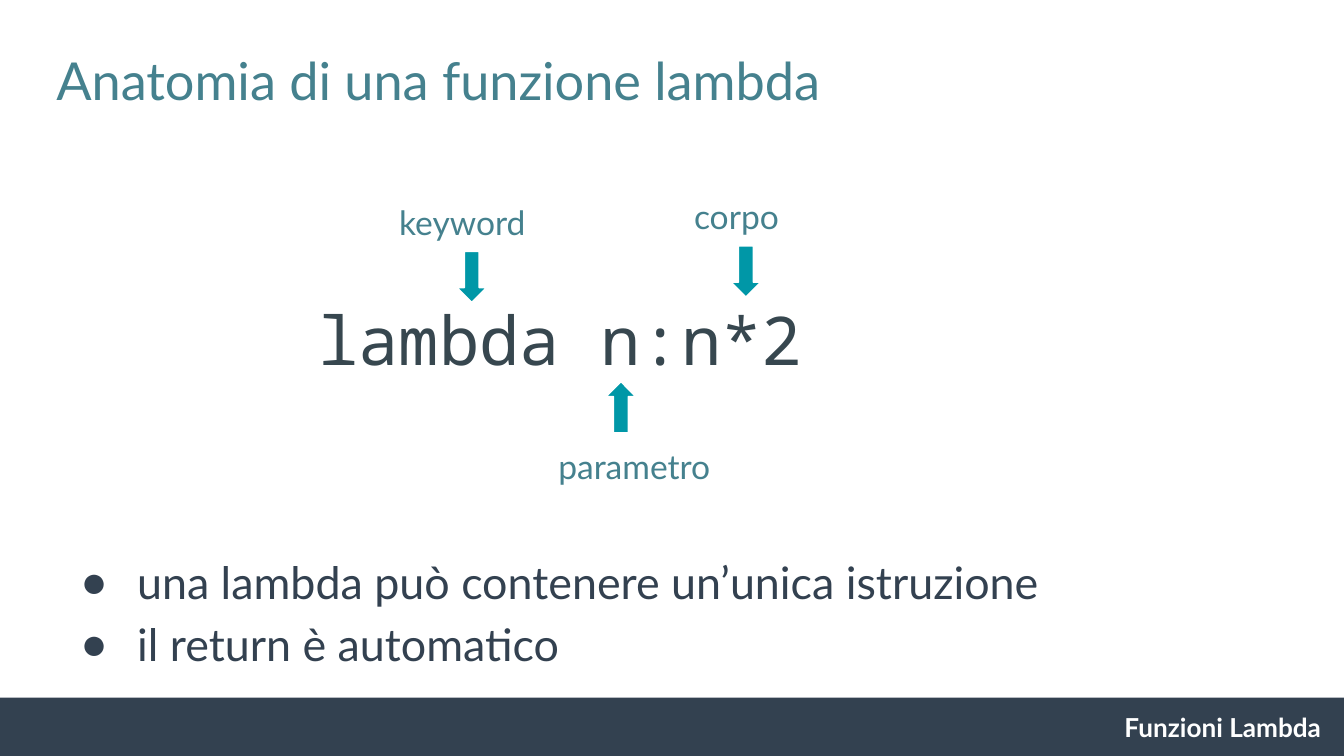
from dataclasses import dataclass

from lxml.etree import SubElement
from pptx import Presentation
from pptx.dml.color import RGBColor
from pptx.enum.shapes import MSO_SHAPE
from pptx.enum.text import MSO_ANCHOR, MSO_AUTO_SIZE, PP_ALIGN
from pptx.oxml.ns import qn
from pptx.slide import Slide
from pptx.text.text import TextFrame, _Paragraph
from pptx.util import Inches, Pt

NAVY, TEAL, CYAN, SLATE, WHITE = "334150", "45818E", "0097A7", "37474F", "FFFFFF"


@dataclass
class CodePart:
    label: str
    label_left: float
    label_top: float
    arrow_left: float
    arrow_top: float
    points_up: bool = False


CODE_PARTS = [
    CodePart("keyword", 2.37, 1.4, 3.4, 1.87),
    CodePart("parametro", 3.65, 3.22, 4.51, 2.84, points_up=True),
    CodePart("corpo", 4.41, 1.36, 5.44, 1.83),
]
RULES = ["una lambda può contenere un’unica istruzione", "il return è automatico"]


def color(hex_value: str) -> RGBColor:
    return RGBColor.from_string(hex_value)


def place(shape, left: float, top: float, width: float, height: float) -> None:
    shape.left, shape.top = Inches(left), Inches(top)
    shape.width, shape.height = Inches(width), Inches(height)


def prepare_frame(frame: TextFrame) -> None:
    frame.word_wrap = True
    frame.auto_size = MSO_AUTO_SIZE.NONE
    frame.vertical_anchor = MSO_ANCHOR.TOP
    frame.margin_left = frame.margin_right = Inches(0.1)
    frame.margin_top = frame.margin_bottom = Inches(0.1)


def add_text(paragraph: _Paragraph, text: str, size: float, hex_value: str,
             font: str = "Lato", bold: bool = False,
             align: PP_ALIGN = PP_ALIGN.LEFT) -> None:
    paragraph.alignment = align
    run = paragraph.add_run()
    run.text = text
    run.font.name = font
    run.font.size = Pt(size)
    run.font.bold = bold
    run.font.color.rgb = color(hex_value)


def add_label(slide: Slide, left: float, top: float, width: float, height: float,
              text: str, size: float, hex_value: str, **style) -> None:
    label = slide.shapes.add_textbox(
        Inches(left), Inches(top), Inches(width), Inches(height))
    prepare_frame(label.text_frame)
    add_text(label.text_frame.paragraphs[0], text, size, hex_value, **style)


def add_bullet(paragraph: _Paragraph) -> None:
    properties = paragraph._p.get_or_add_pPr()
    properties.set("marL", str(Inches(0.5)))
    properties.set("indent", str(Inches(-0.42)))
    bullet_color = SubElement(properties, qn("a:buClr"))
    SubElement(bullet_color, qn("a:srgbClr"), val=NAVY)
    SubElement(properties, qn("a:buChar"), char="●")
    paragraph.line_spacing = 1.15
    paragraph.space_before = Pt(0)


def add_code_part(slide: Slide, part: CodePart) -> None:
    add_label(slide, part.label_left, part.label_top, 2.14, 0.5,
              part.label, 18, TEAL, align=PP_ALIGN.CENTER)
    arrow = slide.shapes.add_shape(
        MSO_SHAPE.DOWN_ARROW, Inches(part.arrow_left), Inches(part.arrow_top),
        Inches(0.22), Inches(0.38))
    arrow.shadow.inherit = False
    arrow.rotation = 180 if part.points_up else 0
    arrow.fill.solid()
    arrow.fill.fore_color.rgb = color(CYAN)
    arrow.line.color.rgb = color(WHITE)
    arrow.line.width = Pt(0.75)


def main() -> None:
    # Widescreen 16:9 page
    presentation = Presentation()
    presentation.slide_width = Inches(10)
    presentation.slide_height = Inches(10 * 9 / 16)
    slide = presentation.slides.add_slide(presentation.slide_layouts[1])

    # Footer band with the section name
    footer = slide.shapes.add_shape(
        MSO_SHAPE.RECTANGLE, Inches(-0.02), Inches(5.19), Inches(10.02), Inches(0.43))
    # The band reaches the bottom edge of the page
    footer.height = presentation.slide_height - footer.top
    footer.shadow.inherit = False
    footer.fill.solid()
    footer.fill.fore_color.rgb = color(NAVY)
    footer.line.fill.background()
    add_label(slide, 7.05, 5.19, 2.88, 0.67, "Funzioni Lambda", 14, WHITE,
              bold=True, align=PP_ALIGN.RIGHT)

    # Title
    title = slide.shapes.title
    place(title, 0.32, 0.26, 7.87, 0.67)
    prepare_frame(title.text_frame)
    add_text(title.text_frame.paragraphs[0], "Anatomia di una funzione lambda", 28, TEAL)

    # Lambda expression and its annotated parts
    add_label(slide, 2.27, 2.12, 5.46, 0.81, "lambda n:n*2", 36, SLATE,
              font="Noto Sans Mono")
    for part in CODE_PARTS:
        add_code_part(slide, part)

    # Rules of lambda functions
    rules = slide.placeholders[1]
    place(rules, 0.42, 3.97, 7.78, 1.07)
    prepare_frame(rules.text_frame)
    for index, rule in enumerate(RULES):
        frame = rules.text_frame
        paragraph = frame.add_paragraph() if index else frame.paragraphs[0]
        add_bullet(paragraph)
        add_text(paragraph, rule, 24, NAVY)

    presentation.save("out.pptx")


if __name__ == "__main__":
    main()
